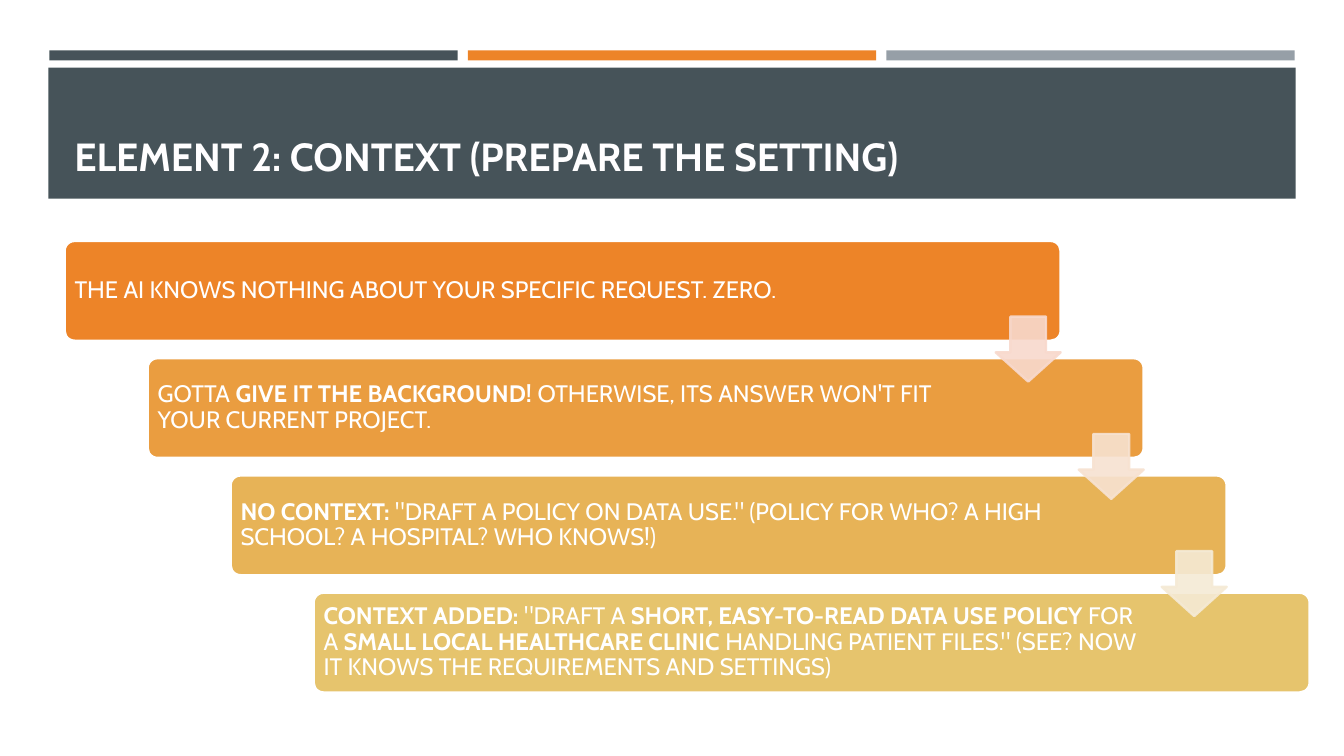
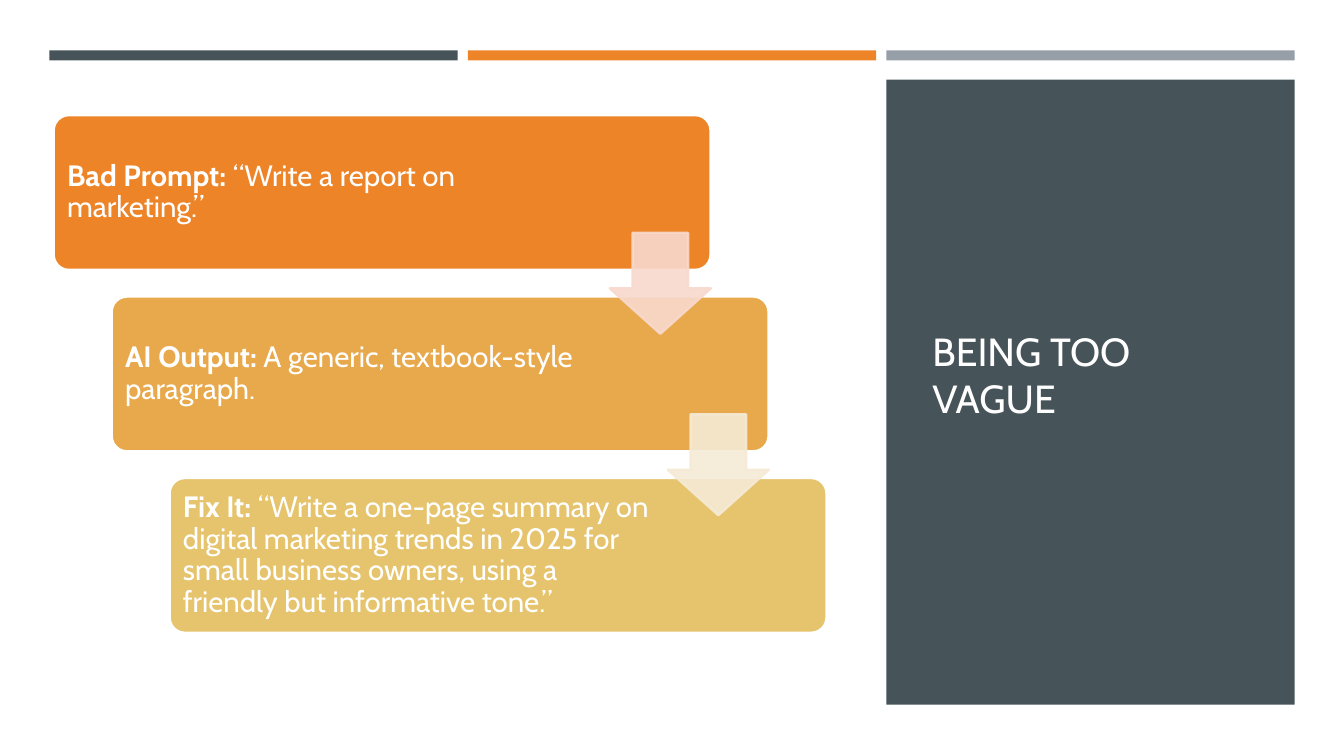
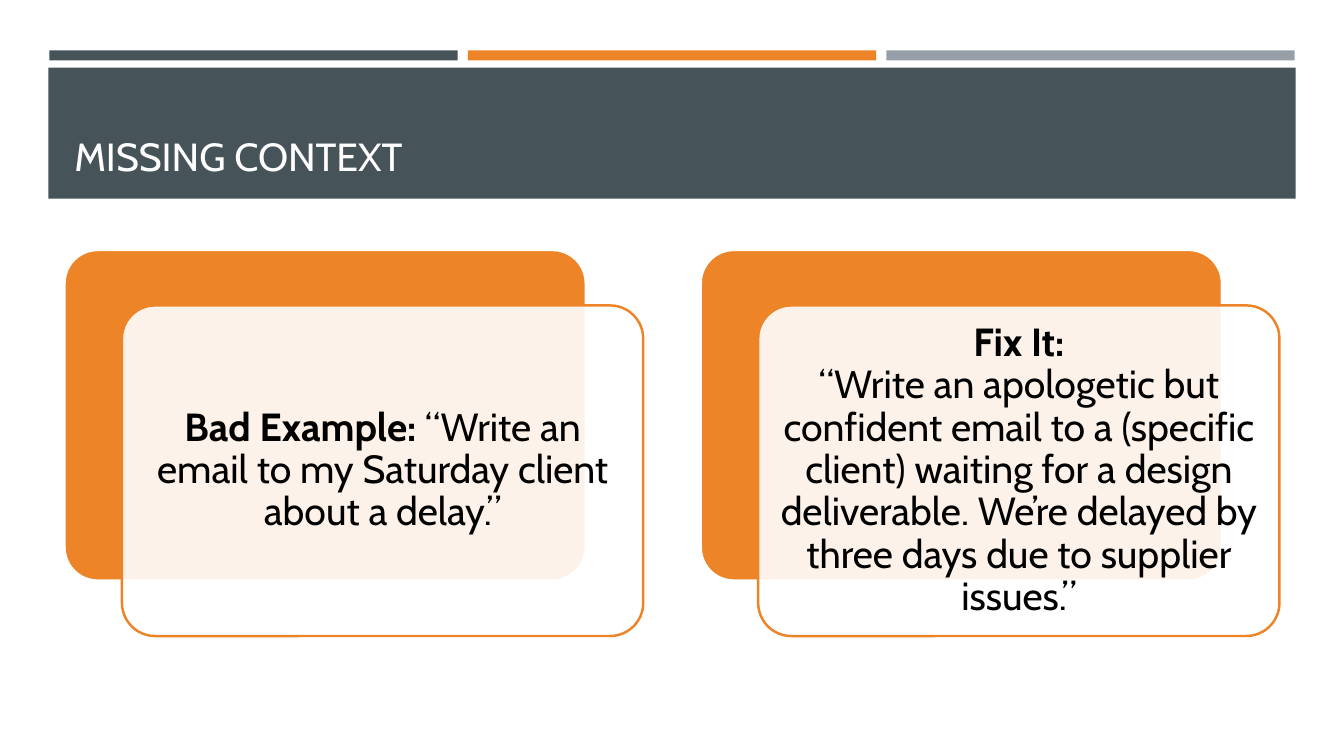
from dataclasses import dataclass
from itertools import zip_longest

from lxml.etree import SubElement
from pptx import Presentation
from pptx.dml.color import RGBColor
from pptx.enum.shapes import MSO_SHAPE as Preset
from pptx.enum.text import MSO_ANCHOR as Anchor, PP_ALIGN as Align
from pptx.oxml.ns import qn
from pptx.shapes.autoshape import Shape
from pptx.slide import Slide
from pptx.text.text import TextFrame
from pptx.util import Inches, Pt

FONT = "Cabin"
WHITE = RGBColor(0xFF, 0xFF, 0xFF)
TITLE_WHITE = RGBColor(0xFF, 0xFE, 0xFF)
BLACK = RGBColor(0x00, 0x00, 0x00)
SLATE = RGBColor(0x46, 0x53, 0x59)
GREY = RGBColor(0x96, 0x9F, 0xA7)
ORANGE = RGBColor(0xED, 0x84, 0x28)
DEEP_AMBER = RGBColor(0xEA, 0x9D, 0x40)
AMBER = RGBColor(0xE8, 0xA9, 0x4C)
GOLD = RGBColor(0xE7, 0xB3, 0x57)
SAND = RGBColor(0xE6, 0xC4, 0x6D)
PALE_ROSE = RGBColor(0xF8, 0xD9, 0xCD)
PALE_PEACH = RGBColor(0xF7, 0xE2, 0xD1)
PALE_CREAM = RGBColor(0xF5, 0xEA, 0xD5)

SOLID_FILL = "a:solidFill/a:srgbClr"
SOLID_LINE = "a:ln/a:solidFill/a:srgbClr"


@dataclass(frozen=True)
class Area:
    left: float
    top: float
    width: float
    height: float

    def lengths(self) -> tuple[Inches, Inches, Inches, Inches]:
        return Inches(self.left), Inches(self.top), Inches(self.width), Inches(self.height)


@dataclass(frozen=True)
class Step:
    text: str
    color: RGBColor
    arrow_color: RGBColor | None = None


@dataclass(frozen=True)
class Staircase:
    """Cards stepping evenly from the first corner to the last one."""
    first: tuple[float, float]
    last: tuple[float, float]
    card_width: float
    card_height: float
    line_width: float
    text_size: int
    inset: float
    right_inset: float
    steps: tuple[Step, ...]


TITLE_BAND = Area(0.48, 0.67, 12.37, 1.3)
BAND_TITLE = Area(0.64, 0.77, 12.06, 1.11)
SIDE_PANEL = Area(8.79, 0.79, 4.05, 6.2)
SIDE_TITLE = Area(9.15, 1.14, 3.34, 5.15)

CONTEXT_STAIRS = Staircase(
    (0.64, 2.39), (3.11, 5.88), 9.88, 0.99, 1.75, 17, 0.07, 1.53, (
        Step("THE AI KNOWS NOTHING ABOUT YOUR SPECIFIC REQUEST. ZERO.", ORANGE, PALE_ROSE),
        Step("GOTTA **GIVE IT THE BACKGROUND!** OTHERWISE, ITS ANSWER WON'T FIT "
             "YOUR CURRENT PROJECT.", DEEP_AMBER, PALE_PEACH),
        Step('**NO CONTEXT:** "DRAFT A POLICY ON DATA USE." (POLICY FOR WHO? A HIGH '
             "SCHOOL? A HOSPITAL? WHO KNOWS!)", GOLD, PALE_CREAM),
        Step('**CONTEXT ADDED:** "DRAFT A **SHORT, EASY-TO-READ DATA USE POLICY** FOR A '
             '**SMALL LOCAL HEALTHCARE CLINIC** HANDLING PATIENT FILES." (SEE? NOW IT '
             "KNOWS THE REQUIREMENTS AND SETTINGS)", SAND),
    ))

VAGUE_STAIRS = Staircase(
    (0.53, 1.14), (1.68, 4.74), 6.52, 1.54, 2, 21, 0.09, 1.66, (
        Step("**Bad Prompt:** “Write a report on marketing.”", ORANGE, PALE_ROSE),
        Step("**AI Output:** A generic, textbook-style paragraph.", AMBER, PALE_CREAM),
        Step("**Fix It:** “Write a one-page summary on digital marketing trends in 2025 "
             "for small business owners, using a friendly but informative tone.”", SAND),
    ))

EXAMPLES = (
    "**Bad Example:** “Write an email to my Saturday client about a delay.”",
    "**Fix It:**\n“Write an apologetic but confident email to a (specific client) "
    "waiting for a design deliverable. We’re delayed by three days due to supplier "
    "issues.”",
)


def draw_shape(page: Slide, preset: Preset, area: Area, fill: RGBColor,
               line: RGBColor | None = None, line_width: float = 1.75,
               adjustments: tuple[float, ...] = ()) -> Shape:
    shape = page.shapes.add_shape(preset, *area.lengths())
    shape.shadow.inherit = False
    shape.fill.solid()
    shape.fill.fore_color.rgb = fill
    if line is None:
        shape.line.fill.background()
    else:
        shape.line.color.rgb = line
        shape.line.width = Pt(line_width)
    for index, value in enumerate(adjustments):
        shape.adjustments[index] = value
    return shape


def make_translucent(shape: Shape, *color_places: str) -> None:
    """Give the colours found at these places an opacity of 90 %."""
    for place in color_places:
        color = shape.element.spPr.find(place, {"a": qn("a:x")[1:-2]})
        SubElement(color, qn("a:alpha")).set("val", "90000")


def write_marked_text(frame: TextFrame, text: str, size: int, color: RGBColor,
                      align: Align = Align.LEFT, spacing: float = 1.0) -> None:
    """Write one paragraph; **marks** enclose bold words, a newline breaks the line."""
    para = frame.paragraphs[0]
    para.alignment = align
    para.line_spacing = spacing
    for index, piece in enumerate(text.split("**")):
        for row, words in enumerate(piece.split("\n")):
            if row:
                para.add_line_break()
            if words:
                span = para.add_run()
                span.text = words
                span.font.name = FONT
                span.font.size = Pt(size)
                span.font.bold = index % 2 == 1
                span.font.color.rgb = color


def set_frame(frame: TextFrame, anchor: Anchor, inset: float,
              right_inset: float | None = None) -> None:
    frame.word_wrap = True
    frame.vertical_anchor = anchor
    frame.margin_left = frame.margin_top = frame.margin_bottom = Inches(inset)
    frame.margin_right = Inches(inset if right_inset is None else right_inset)


def draw_title(page: Slide, text: str, area: Area, anchor: Anchor) -> None:
    frame = page.shapes.add_textbox(*area.lengths()).text_frame
    set_frame(frame, anchor, 0.1)
    write_marked_text(frame, text, 28, TITLE_WHITE)


def add_page(deck: Presentation, title: str, side_title: bool = False) -> Slide:
    """Add a page with the three top bars and a title in a band or a side panel."""
    page = deck.slides.add_slide(deck.slide_layouts[6])
    for index, color in enumerate((SLATE, ORANGE, GREY)):
        draw_shape(page, Preset.RECTANGLE, Area(0.49 + index * 4.15, 0.5, 4.05, 0.1), color)
    draw_shape(page, Preset.RECTANGLE, SIDE_PANEL if side_title else TITLE_BAND, SLATE)
    if side_title:
        draw_title(page, title, SIDE_TITLE, Anchor.MIDDLE)
    else:
        draw_title(page, title, BAND_TITLE, Anchor.BOTTOM)
    return page


def draw_staircase(page: Slide, stairs: Staircase) -> None:
    count = len(stairs.steps)
    corners = [tuple(start + (end - start) * index / (count - 1)
                     for start, end in zip(stairs.first, stairs.last))
               for index in range(count)]
    for (left, top), step in zip(corners, stairs.steps):
        card = draw_shape(page, Preset.ROUNDED_RECTANGLE,
                          Area(left, top, stairs.card_width, stairs.card_height),
                          step.color, WHITE, stairs.line_width, (0.1,))
        set_frame(card.text_frame, Anchor.MIDDLE, stairs.inset, stairs.right_inset)
        write_marked_text(card.text_frame, step.text, stairs.text_size, WHITE, spacing=0.9)

    arrow_size = stairs.card_height * 0.65
    for (left, top), step in zip(corners, stairs.steps):
        if step.arrow_color is None:
            continue
        area = Area(left + stairs.card_width - arrow_size, top + stairs.card_height * 0.76,
                    arrow_size, arrow_size)
        arrow = draw_shape(page, Preset.DOWN_ARROW, area, step.arrow_color,
                           step.arrow_color, adjustments=(0.55, 0.45))
        make_translucent(arrow, SOLID_FILL, SOLID_LINE)


def draw_example(page: Slide, left: float, text: str) -> None:
    """Draw an orange card with a translucent text card shifted over it."""
    top, width, height = 2.48, 5.17, 3.28
    draw_shape(page, Preset.ROUNDED_RECTANGLE, Area(left, top, width, height),
               ORANGE, WHITE, adjustments=(0.1,))
    front = draw_shape(page, Preset.ROUNDED_RECTANGLE,
                       Area(left + 0.57, top + 0.55, width, height),
                       WHITE, ORANGE, adjustments=(0.1,))
    make_translucent(front, SOLID_FILL)
    set_frame(front.text_frame, Anchor.MIDDLE, 0.12)
    write_marked_text(front.text_frame, text, 28, BLACK, Align.CENTER, 0.9)


def main() -> None:
    deck = Presentation()
    deck.slide_width, deck.slide_height = Inches(13.33), Inches(7.5)

    page = add_page(deck, "**ELEMENT 2: CONTEXT (PREPARE THE SETTING)**")
    draw_staircase(page, CONTEXT_STAIRS)

    page = add_page(deck, "BEING TOO VAGUE", side_title=True)
    draw_staircase(page, VAGUE_STAIRS)

    page = add_page(deck, "MISSING CONTEXT")
    for index, text in enumerate(EXAMPLES):
        draw_example(page, 0.64 + index * 6.31, text)

    deck.save("out.pptx")


if __name__ == "__main__":
    main()
